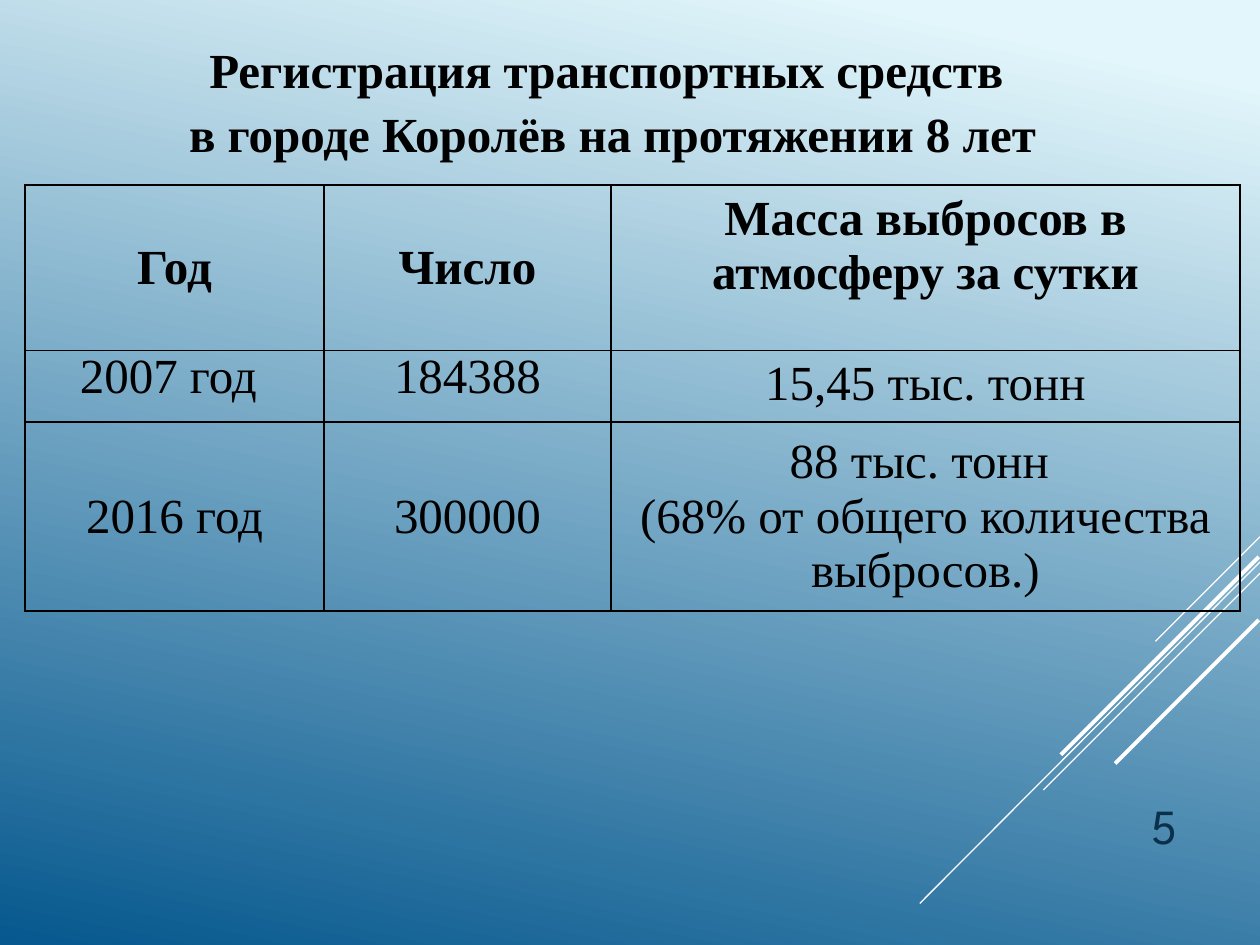
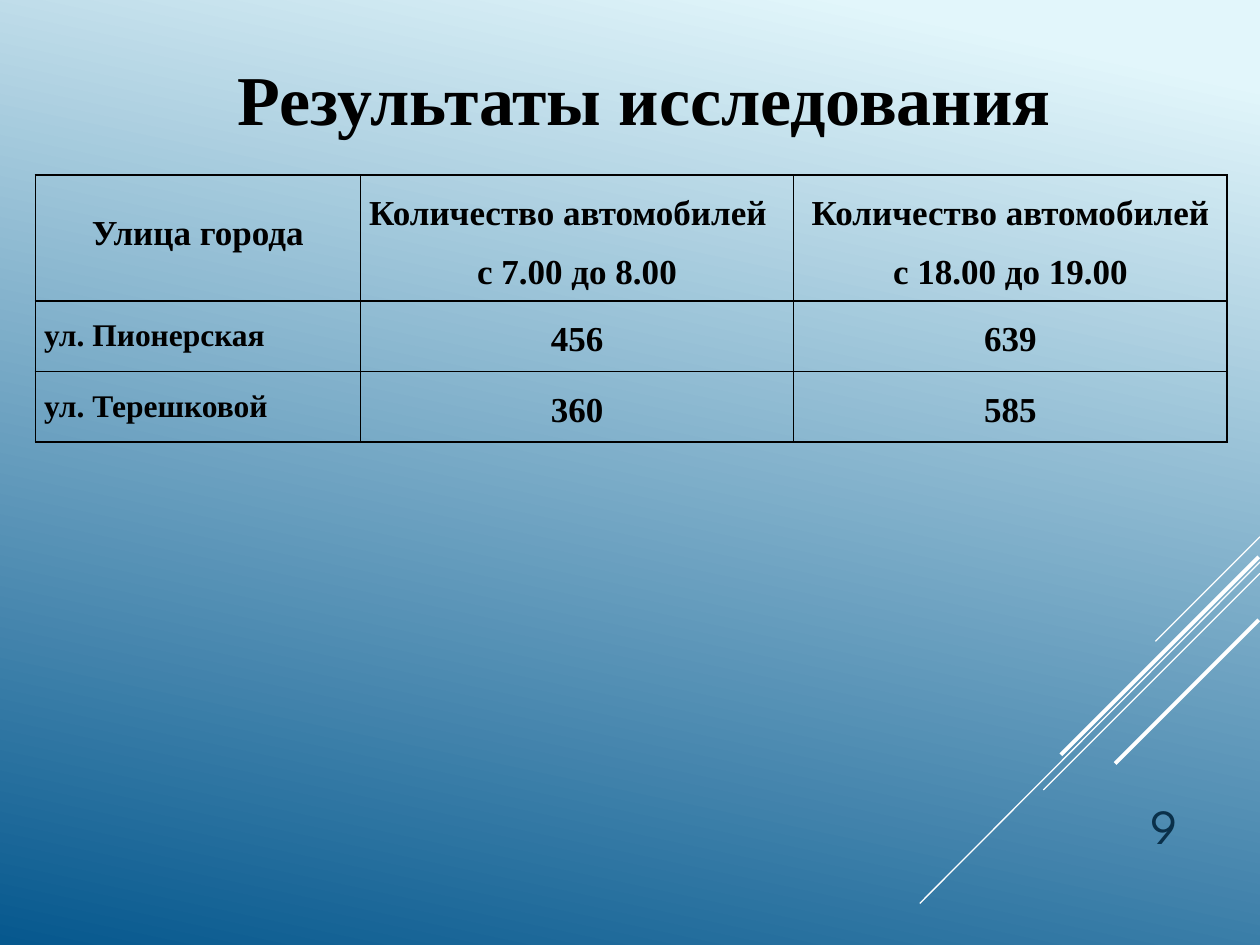
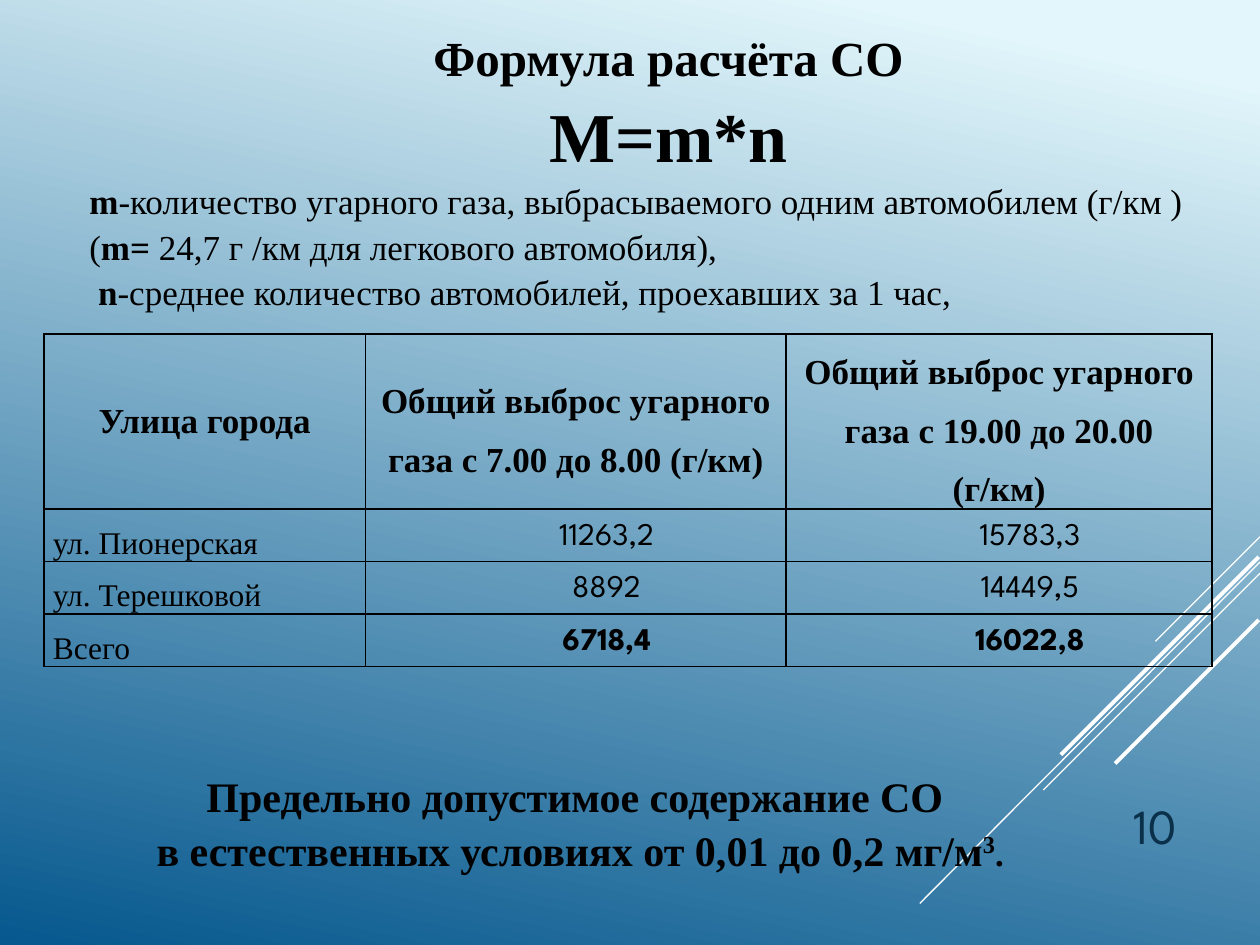
import lxml.etree
import pptx
import pptx.dml.color
import pptx.enum.shapes
import pptx.enum.text
import pptx.oxml.ns
import pptx.util

Inches = pptx.util.Inches
Pt = pptx.util.Pt
RGBColor = pptx.dml.color.RGBColor
qn = pptx.oxml.ns.qn
ALIGN = pptx.enum.text.PP_ALIGN
ANCHOR = pptx.enum.text.MSO_ANCHOR

BLACK = RGBColor(0x00, 0x00, 0x00)
WHITE = RGBColor(0xFF, 0xFF, 0xFF)
NAVY = RGBColor(0x0A, 0x30, 0x4A)
SKY = RGBColor(0xE2, 0xF6, 0xFB)
OCEAN = RGBColor(0x06, 0x58, 0x8E)
SERIF = "Times New Roman"
SPARTAN = "League Spartan"

TIGHT = (0.07, 0)
ROOMY = (0.1, 0.05)
TITLE_SPACING = 1.08
INDENT = 0.49

# x and y of both ends, line width
STRIPES = [
    (10, 4.26, 9.17, 5.09, 0.75),
    (10, 4.46, 7.3, 7.17, 0.75),
    (10, 4.55, 8.28, 6.27, 0.75),
    (9.99, 4.42, 8.42, 5.99, 2.25),
    (9.99, 4.92, 8.85, 6.06, 2.25),
]


def write_text(frame, text, size=20, bold=True, font=SERIF, color=BLACK,
               align=ALIGN.CENTER, spacing=1.0, indent=0):
    """Append a paragraph; text is a string or a list of (run text, changes)."""
    paragraph = frame.paragraphs[0]
    if paragraph.runs:
        paragraph = frame.add_paragraph()
    paragraph.alignment = align
    paragraph.line_spacing = spacing
    if indent:
        properties = paragraph._p.get_or_add_pPr()
        properties.set("marL", "0")
        properties.set("indent", str(Inches(indent)))
    for run_text, changes in [(text, {})] if isinstance(text, str) else text:
        run = paragraph.add_run()
        run.text = run_text
        run.font.name = font
        run.font.size = Pt(changes.get("size", size))
        run.font.bold = changes.get("bold", bold)
        run.font.color.rgb = color
        if "baseline" in changes:
            run._r.get_or_add_rPr().set("baseline", str(changes["baseline"]))


def add_grid(slide, left, top, widths, heights, rows):
    """Add a clear table with black rules; a cell is (paragraphs, anchor, padding)."""
    frame = slide.shapes.add_table(
        len(heights), len(widths), Inches(left), Inches(top),
        Inches(sum(widths)), Inches(sum(heights)))
    table = frame.table
    table.first_row = table.horz_banding = False
    for column, width in zip(table.columns, widths):
        column.width = Inches(width)
    for table_row, height, cells in zip(table.rows, heights, rows):
        table_row.height = Inches(height)
        for cell, (paragraphs, anchor, padding) in zip(table_row.cells, cells):
            cell.margin_left = cell.margin_right = Inches(padding[0])
            cell.margin_top = cell.margin_bottom = Inches(padding[1])
            cell.vertical_anchor = anchor
            cell.fill.background()
            for text, style in paragraphs:
                write_text(cell.text_frame, text, **style)
            properties = cell._tc.get_or_add_tcPr()
            for position, side in enumerate(("lnL", "lnR", "lnT", "lnB")):
                border = lxml.etree.Element(qn("a:" + side), w=str(Pt(1)))
                fill = lxml.etree.SubElement(border, qn("a:solidFill"))
                lxml.etree.SubElement(fill, qn("a:srgbClr"), val=str(BLACK))
                properties.insert(position, border)


presentation = pptx.Presentation()
presentation.slide_width = Inches(10)
presentation.slide_height = Inches(7.5)

background = presentation.slide_master.background.fill
background.gradient()
background.gradient_angle = 258
for stop, color, position in zip(background.gradient_stops, (SKY, OCEAN), (0.07, 1)):
    stop.color.rgb = color
    stop.position = position

boxes = []
for number in ("5", "9", "10"):
    slide = presentation.slides.add_slide(presentation.slide_layouts[6])
    for x1, y1, x2, y2, width in STRIPES:
        stripe = slide.shapes.add_connector(
            pptx.enum.shapes.MSO_CONNECTOR.STRAIGHT,
            Inches(x1), Inches(y1), Inches(x2), Inches(y2))
        stripe.line.color.rgb = WHITE
        stripe.line.width = Pt(width)
        lxml.etree.SubElement(stripe._element.spPr, qn("a:effectLst"))
    number_style = dict(size=28, bold=False, font=SPARTAN, color=NAVY, align=ALIGN.RIGHT)
    boxes.append((slide, (8.5, 6.1, 0.94, 0.73), ANCHOR.BOTTOM, [(number, number_style)]))
registration, results, formula = presentation.slides

# Vehicle registration
heading = dict(size=28)
value = dict(size=28, bold=False)
add_grid(registration, 0.2, 1.47, (2.37, 2.28, 4.99), (1.31, 0.57, 1.5), [
    [
        ([("Год", heading)], ANCHOR.MIDDLE, TIGHT),
        ([("Число", heading)], ANCHOR.MIDDLE, TIGHT),
        ([("Масса выбросов в атмосферу за сутки", heading)], ANCHOR.TOP, ROOMY),
    ],
    [
        ([("2007 год\u00a0", value)], ANCHOR.TOP, TIGHT),
        ([("184388", value)], ANCHOR.TOP, TIGHT),
        ([("15,45 тыс. тонн", value)], ANCHOR.TOP, ROOMY),
    ],
    [
        ([("2016 год", value)], ANCHOR.MIDDLE, TIGHT),
        ([("300000", value)], ANCHOR.MIDDLE, TIGHT),
        ([("88 тыс. тонн ", value), ("(68% от общего количества выбросов.)", value)],
         ANCHOR.MIDDLE, ROOMY),
    ],
])
title = dict(size=28, spacing=TITLE_SPACING)
boxes.append((registration, (0, 0.23, 9.72, 1.51), ANCHOR.TOP, [
    ("Регистрация транспортных средств ", title),
    ("в городе Королёв на протяжении 8 лет", title),
]))

# Traffic counts
count = dict(spacing=1.5)
justified = dict(spacing=1.5, align=ALIGN.JUSTIFY)
result_rows = [[
    ([("Улица города", dict(spacing=2.0))], ANCHOR.TOP, TIGHT),
    ([("Количество автомобилей ", justified), ("с 7.00 до 8.00", count)], ANCHOR.TOP, TIGHT),
    ([("Количество автомобилей с 18.00 до 19.00", count)], ANCHOR.TOP, TIGHT),
]]
for street, *counts in (("ул. Пионерская", "456", "639"), ("ул. Терешковой", "360", "585")):
    paragraphs = [(street, dict(justified, size=18))] + [(text, count) for text in counts]
    result_rows.append([([paragraph], ANCHOR.TOP, TIGHT) for paragraph in paragraphs])
add_grid(results, 0.28, 1.39, (2.58, 3.44, 3.44), (1, 0.56, 0.56), result_rows)
boxes.append((results, (1.3, 0.36, 7.72, 0.77), ANCHOR.MIDDLE, [
    ("Результаты исследования",
     dict(size=40, align=ALIGN.JUSTIFY, indent=INDENT, spacing=TITLE_SPACING)),
]))

# Carbon monoxide formula
emission_rows = [[
    ([("Улица города", {})], ANCHOR.MIDDLE, TIGHT),
    ([("Общий выброс угарного газа с 7.00 до 8.00 (г/км)", count)], ANCHOR.MIDDLE, TIGHT),
    ([("Общий выброс угарного газа с 19.00 до 20.00 (г/км)", count)], ANCHOR.MIDDLE, TIGHT),
]]
for street, *emissions in (
    ("ул. Пионерская", "11263,2", "15783,3"),
    ("ул. Терешковой", "8892", "14449,5"),
    ("Всего", "6718,4", "16022,8"),
):
    name = dict(size=18, bold=False, spacing=1.5, align=ALIGN.LEFT)
    emission = dict(size=18, bold=street == "Всего", font=SPARTAN, spacing=1.5, indent=INDENT)
    paragraphs = [(street, name)] + [(text, emission) for text in emissions]
    emission_rows.append([([paragraph], ANCHOR.TOP, TIGHT) for paragraph in paragraphs])
add_grid(formula, 0.35, 2.65, (2.55, 3.34, 3.38), (1.39, 0.41, 0.42, 0.41), emission_rows)

limit = dict(size=24, spacing=TITLE_SPACING)
boxes.append((formula, (0.67, 6.03, 7.87, 0.91), ANCHOR.TOP, [
    ("Предельно допустимое содержание СО ", limit),
    ([("в естественных условиях от 0,01 до 0,2 мг/м", {}),
      ("3", dict(baseline=30000)),
      (".", dict(size=20))], limit),
]))
indented = dict(indent=INDENT, spacing=TITLE_SPACING)
legend = dict(indented, bold=False, align=ALIGN.JUSTIFY)
strong = dict(bold=True)
boxes.append((formula, (0.12, 0.2, 9.88, 2.26), ANCHOR.MIDDLE, [
    ("Формула расчёта СО", dict(indented, size=28)),
    ("M=m*n", dict(indented, size=40)),
    ([("m", strong),
      ("-количество угарного газа, выбрасываемого одним автомобилем (г/км )", {})], legend),
    ([("(", {}), ("m=", strong), (" 24,7 г /км для легкового автомобиля),", {})], legend),
    ([(" ", {}), ("n", strong),
      ("-среднее количество автомобилей, проехавших за 1 час, ", {})], legend),
]))

for slide, place, anchor, paragraphs in boxes:
    frame = slide.shapes.add_textbox(*map(Inches, place)).text_frame
    frame.word_wrap = True
    frame.vertical_anchor = anchor
    for text, style in paragraphs:
        write_text(frame, text, **style)

presentation.save("out.pptx")
